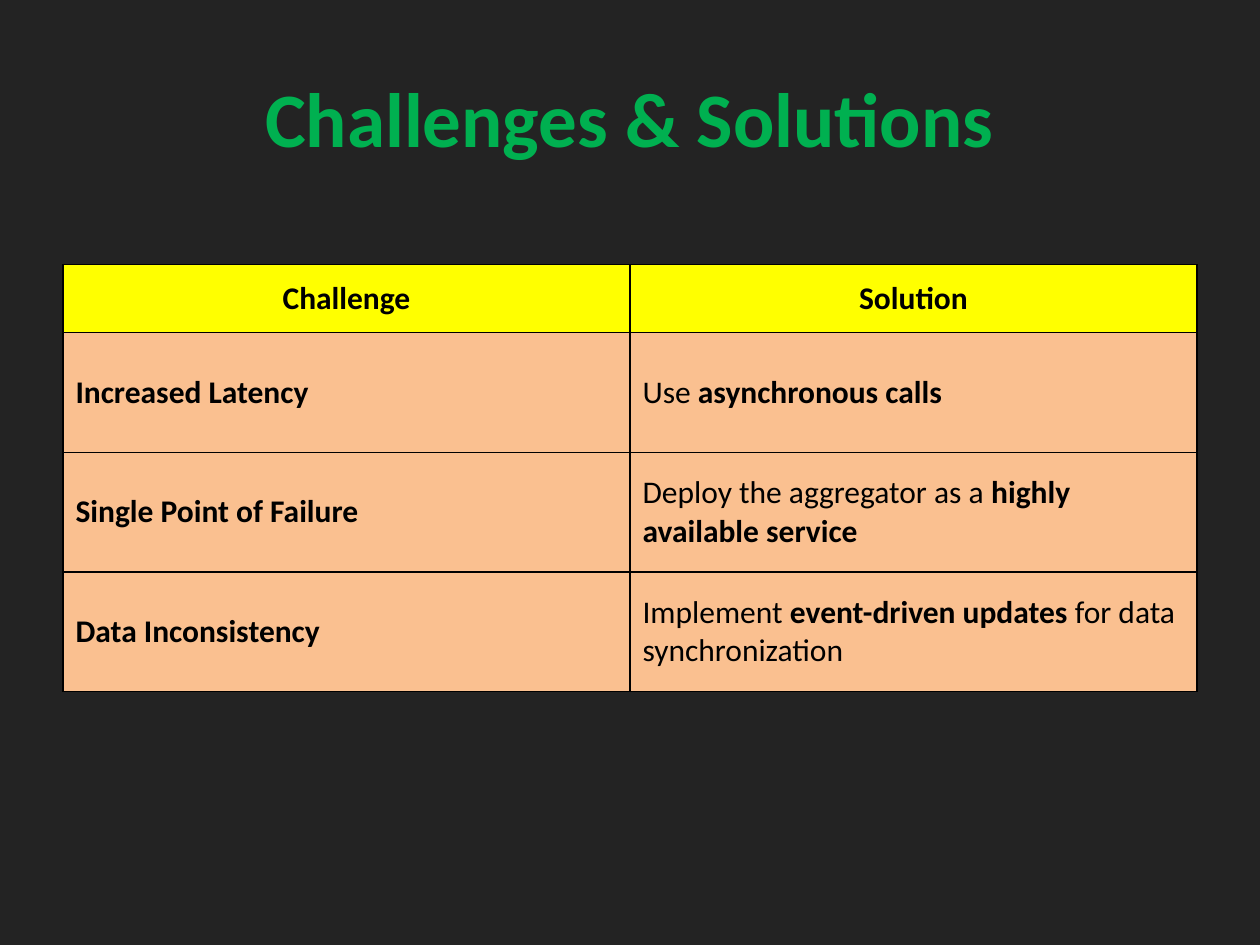
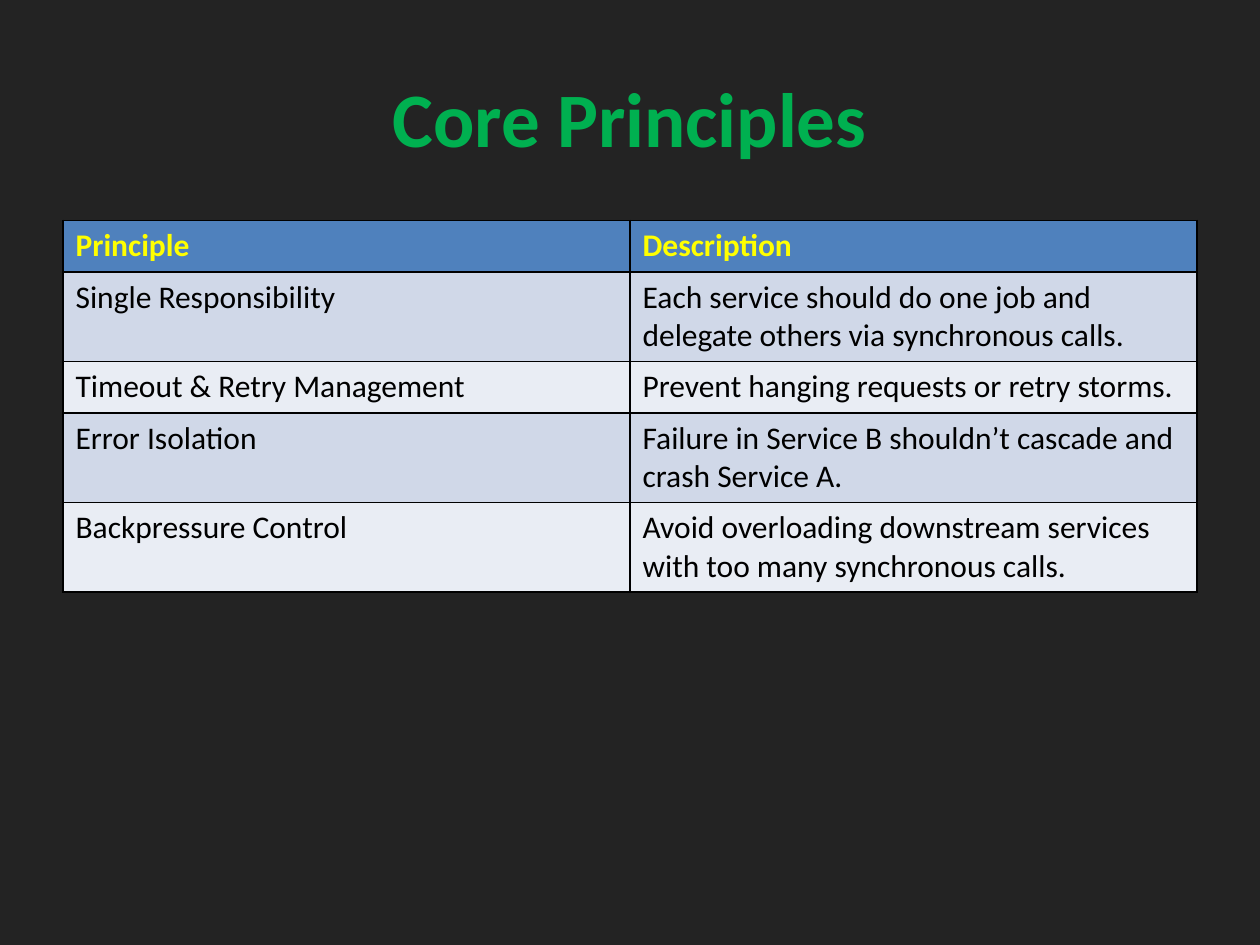
"""Build two dark slides, each with a title and a two-column table."""
from lxml.etree import SubElement
from pptx import Presentation
from pptx.dml.color import RGBColor
from pptx.enum.text import MSO_ANCHOR, PP_ALIGN
from pptx.oxml.ns import qn
from pptx.util import Inches, Pt

HEX = {"back": "232323", "title": "00B050", "ink": "000000",
       "yellow": "FFFF00", "peach": "FAC090", "blue": "4F81BD",
       "mist": "D0D8E8", "pale": "E9EDF4"}
WIDE, HIGH = 10, 7.5
EDGE = WIDE * 0.05
SPAN = WIDE - 2 * EDGE

# Asterisks enclose bold words.
DECK = [
    {"title": "Challenges & Solutions", "top": HIGH * 0.28,
     "rows": [
         ("*Challenge*", "*Solution*"),
         ("*Increased Latency*", "Use *asynchronous calls *"),
         ("*Single Point of Failure*",
          "Deploy the aggregator as a *highly available service*"),
         ("*Data Inconsistency*",
          "Implement *event-driven updates* for data synchronization")],
     "tall": [0.54, 0.95, 0.95, 0.95],
     "head": {"fill": "yellow", "ink": "ink", "align": PP_ALIGN.CENTER},
     "bands": ["peach"], "anchor": MSO_ANCHOR.MIDDLE},
    {"title": "Core Principles", "top": HIGH * 0.2333,
     "rows": [
         ("*Principle*", "*Description*"),
         ("Single Responsibility",
          "Each service should do one job and delegate others via synchronous calls."),
         ("Timeout & Retry Management",
          "Prevent hanging requests or retry storms."),
         ("Error Isolation",
          "Failure in Service B shouldn’t cascade and crash Service A."),
         ("Backpressure Control",
          "Avoid overloading downstream services with too many synchronous calls.")],
     "tall": [0.41, 0.71, 0.41, 0.71, 0.71],
     "head": {"fill": "blue", "ink": "yellow", "align": PP_ALIGN.LEFT},
     "bands": ["mist", "pale"], "anchor": MSO_ANCHOR.TOP},
]


def shade(name):
    return RGBColor.from_string(HEX[name])


def write(frame, text, size, ink, align):
    line = frame.paragraphs[0]
    line.alignment = align
    for i, part in enumerate(text.split("*")):
        if part:
            run = line.add_run()
            run.text = part
            look = {"name": "Calibri", "size": Pt(size), "bold": i % 2 == 1}
            for key, value in look.items():
                setattr(run.font, key, value)
            run.font.color.rgb = shade(ink)


def border(cell):
    props = cell._tc.get_or_add_tcPr()
    for i, side in enumerate("LRTB"):
        line = SubElement(props, qn("a:ln" + side), w=str(Pt(1)))
        fill = SubElement(line, qn("a:solidFill"))
        SubElement(fill, qn("a:srgbClr"), val=HEX["ink"])
        props.insert(i, line)


def add_title(slide, text):
    box = slide.shapes.add_textbox(
        Inches(EDGE), Inches(HIGH * 0.04), Inches(SPAN), Inches(HIGH / 6))
    frame = box.text_frame
    frame.word_wrap = True
    frame.vertical_anchor = MSO_ANCHOR.MIDDLE
    write(frame, f"*{text}*", 44, "title", PP_ALIGN.CENTER)


def add_grid(slide, page):
    rows, tall, bands = page["rows"], page["tall"], page["bands"]
    grid = slide.shapes.add_table(
        len(rows), len(rows[0]), Inches(EDGE), Inches(page["top"]),
        Inches(SPAN), Inches(sum(tall))).table
    for r, row in enumerate(rows):
        grid.rows[r].height = Inches(tall[r])
        band = {"fill": bands[(r - 1) % len(bands)], "ink": "ink",
                "align": PP_ALIGN.LEFT}
        look = band if r else page["head"]
        for c, text in enumerate(row):
            cell = grid.cell(r, c)
            cell.vertical_anchor = page["anchor"]
            cell.fill.solid()
            cell.fill.fore_color.rgb = shade(look["fill"])
            border(cell)
            write(cell.text_frame, text, 18, look["ink"], look["align"])


def main():
    deck = Presentation()
    deck.slide_width, deck.slide_height = Inches(WIDE), Inches(HIGH)
    for page in DECK:
        slide = deck.slides.add_slide(deck.slide_layouts[6])
        slide.background.fill.solid()
        slide.background.fill.fore_color.rgb = shade("back")
        add_title(slide, page["title"])
        add_grid(slide, page)
    deck.save("out.pptx")


if __name__ == "__main__":
    main()
